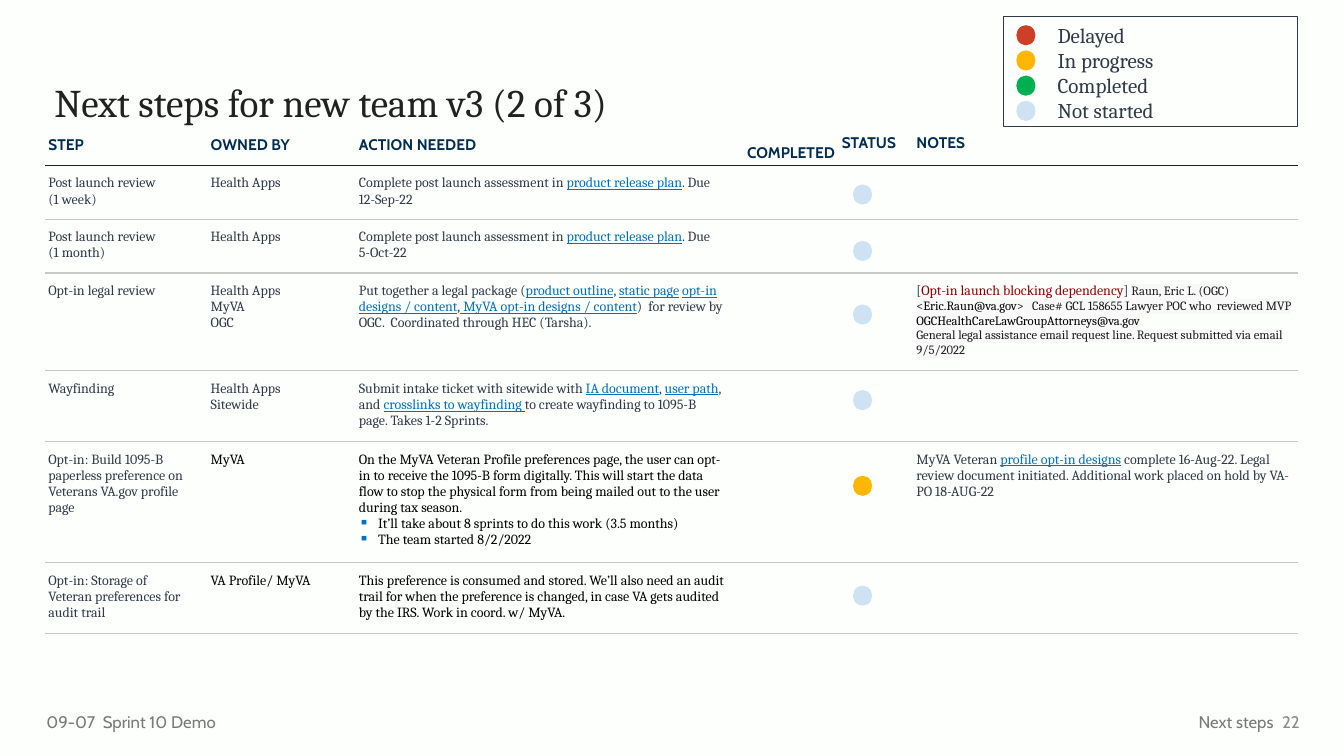
import lxml.etree
import pptx
import pptx.dml.color
import pptx.enum.shapes
import pptx.enum.text
import pptx.oxml.ns
import pptx.util

Inches = pptx.util.Inches
ANCHOR = pptx.enum.text.MSO_ANCHOR
ALIGN = pptx.enum.text.PP_ALIGN
COLORS = {
    "background": "FDFFFD", "title": "202120", "heading": "022D50", "body": "303A46",
    "black": "000000", "link": "0071C0", "bullet": "0070C0", "warning": "980000",
    "contact": "1D1C1D", "highlight": "F8F8F8", "rule": "C7C7C7",
    "footer": "747C74", "number": "8A8A8A",
    "delayed": "CC4125", "progress": "FEB600", "completed": "00B050", "waiting": "CFE2F3",
}
# Span styles: font, size, colour
STYLES = {
    "title": ("Cambria", 28, "title"),
    "heading": ("Cabin", 11, "heading"),
    "body": ("Cambria", 10, "body"),
    "black": ("Cambria", 10, "black"),
    "bullet": ("Cambria", 10, "black"),
    "link": ("Cambria", 10, "link"),
    "warning": ("Cambria", 10, "warning"),
    "contact": ("Cambria", 9, "contact"),
    "address": ("Cambria", 9, "black"),
    "legend": ("Cambria", 15, "body"),
    "footer": ("Cabin", 12, "footer"),
    "number": ("Cabin", 12, "number"),
}


def rgb(color):
    return pptx.dml.color.RGBColor.from_string(COLORS[color])


def add_xml(parent, tag, **attributes):
    return lxml.etree.SubElement(parent, pptx.oxml.ns.qn(tag), attributes)


class SlideBuilder:
    def __init__(self, deck):
        self.page = deck.slides.add_slide(deck.slide_layouts[6])
        self.page.background.fill.solid()
        self.page.background.fill.fore_color.rgb = rgb("background")

    def format_span(self, span, style):
        font, size, color = STYLES[style]
        span.font.name, span.font.size = font, pptx.util.Pt(size)
        span.font.color.rgb = rgb(color)
        span.font.bold = style == "heading"
        span.font.underline = style == "link"
        if style in ("contact", "address"):
            properties = span._r.get_or_add_rPr()
            mark = add_xml(properties, "a:highlight")
            add_xml(mark, "a:srgbClr", val=COLORS["highlight"])
            properties.find(pptx.oxml.ns.qn("a:solidFill")).addnext(mark)

    def add_bullet(self, para):
        properties = para._p.get_or_add_pPr()
        properties.set("marL", str(Inches(0.19)))
        properties.set("indent", str(Inches(-0.19)))
        add_xml(add_xml(properties, "a:buClr"), "a:srgbClr", val=COLORS["bullet"])
        add_xml(properties, "a:buChar", char="▪")

    def set_text(self, frame, paragraphs, margins, align=None, spacing=None):
        """Each paragraph is a list of (text, style) spans."""
        frame.word_wrap = True
        (frame.margin_left, frame.margin_top,
         frame.margin_right, frame.margin_bottom) = map(Inches, margins)
        text_frame = getattr(frame, "text_frame", frame)
        for index, spans in enumerate(paragraphs):
            para = text_frame.add_paragraph() if index else text_frame.paragraphs[0]
            para.alignment, para.line_spacing = align, spacing
            if spans[0][1] == "bullet":
                self.add_bullet(para)
            for text, style in spans:
                span = para.add_run()
                span.text = text
                self.format_span(span, style)

    def text(self, place, lines, style, margins=(0.1, 0.05, 0.1, 0.05),
             align=None, spacing=None, anchor=ANCHOR.TOP):
        box = self.page.shapes.add_textbox(*map(Inches, place))
        box.text_frame.vertical_anchor = anchor
        self.set_text(box.text_frame, [[(line, style)] for line in lines],
                      margins, align, spacing)

    def shape(self, kind, place, fill=None, line=None):
        shape = self.page.shapes.add_shape(kind, *map(Inches, place))
        shape.shadow.inherit = False
        if fill:
            shape.fill.solid()
            shape.fill.fore_color.rgb = rgb(fill)
        else:
            shape.fill.background()
        if line:
            shape.line.color.rgb = rgb(line)
            shape.line.width = pptx.util.Pt(0.75)
        else:
            shape.line.fill.background()

    def dot(self, left, top, color):
        self.shape(pptx.enum.shapes.MSO_SHAPE.OVAL, (left, top, 0.19, 0.2), color)

    def border(self, cell, colors):
        properties = cell._tc.get_or_add_tcPr()
        for index, side in enumerate("LRTB"):
            line = add_xml(properties, f"a:ln{side}", w=str(pptx.util.Pt(1)))
            if side in colors:
                add_xml(add_xml(line, "a:solidFill"), "a:srgbClr", val=COLORS[colors[side]])
            else:
                add_xml(line, "a:noFill")
            properties.insert(index, line)

    def table(self, place, widths, heights, headings, rows):
        left, top = place
        table = self.page.shapes.add_table(
            len(heights), len(widths), Inches(left), Inches(top),
            Inches(sum(widths)), Inches(sum(heights))).table
        table.first_row = table.horz_banding = False
        for column, width in zip(table.columns, widths):
            column.width = Inches(width)
        for row, height in zip(table.rows, heights):
            row.height = Inches(height)
        for index, heading in enumerate(headings):
            cell = table.cell(0, index)
            cell.vertical_anchor = ANCHOR.MIDDLE
            edge = 0.1 if heading == "NOTES" else 0.03
            self.set_text(cell, [[(heading, "heading")]], (edge, 0.03, 0.03, 0.03),
                          spacing=1.15 if index < 3 else None)
        last = len(widths) - 1
        for number, contents in enumerate(rows, 1):
            for index, paragraphs in contents.items():
                margins = (0.1, 0.1, 0.03, 0.1) if index == last else (0.03, 0.1, 0.2, 0.1)
                self.set_text(table.cell(number, index), paragraphs, margins)
        for number in range(len(heights)):
            above = "title" if number == 1 else "rule"
            below = "rule" if number else "title"
            for index in range(len(widths)):
                cell = table.cell(number, index)
                cell.fill.background()
                self.border(cell, {"T": above, "B": below} if number else {"B": below})


def body(*lines, style="body"):
    return [[(line, style)] for line in lines]


def review(due):
    return [[("Complete post launch assessment in ", "body"),
             ("product release plan", "link"), (f". Due {due}", "body")]]


STEP, OWNER, ACTION, NOTES = 0, 1, 2, 5
HEADINGS = ["STEP", "OWNED BY", "ACTION NEEDED", " COMPLETED", "STATUS", "NOTES"]
ROWS = [
    {STEP: body("Post launch review", "(1 week)"), OWNER: body("Health Apps"),
     ACTION: review("12-Sep-22")},
    {STEP: body("Post launch review", "(1 month)"), OWNER: body("Health Apps"),
     ACTION: review("5-Oct-22")},
    {STEP: body("Opt-in legal review"), OWNER: body("Health Apps", "MyVA", "OGC"),
     ACTION: [[("Put together a legal package (", "body"), ("product outline", "link"),
               (", ", "body"), ("static page", "link"), (" ", "body"),
               ("opt-in designs / content", "link"), (",", "body"),
               (" MyVA opt-in designs / content", "link"),
               (")  for review by OGC.  Coordinated through HEC (Tarsha).", "body")]],
     NOTES: [[("[", "body"), ("Opt-in launch blocking dependency", "warning"),
              ("] ", "body"), ("Raun, Eric L. (OGC) <", "contact"),
              ("Eric.Raun@va.gov", "address"),
              (">   Case# GCL 158655 Lawyer POC who  reviewed MVP ", "contact"),
              ("OGCHealthCareLawGroupAttorneys@va.gov", "address")],
             [("General legal assistance email request line. "
               "Request submitted via email 9/5/2022", "contact")]]},
    {STEP: body("Wayfinding"), OWNER: body("Health Apps", "Sitewide"),
     ACTION: [[("Submit intake ticket with sitewide with ", "body"), ("IA document", "link"),
               (", ", "body"), ("user path", "link"), (", and ", "body"),
               ("crosslinks to wayfinding ", "link"),
               ("to create wayfinding to 1095-B page. Takes 1-2 Sprints.", "body")]]},
    {STEP: body("Opt-in: Build 1095-B paperless preference on Veterans VA.gov profile page"),
     OWNER: body("MyVA", style="black"),
     ACTION: body("On the MyVA Veteran Profile preferences page, the user can opt-in to "
                  "receive the 1095-B form digitally. This will start the data flow to stop "
                  "the physical form from being mailed out to the user during tax season.",
                  style="black")
     + body("It’ll take about 8 sprints to do this work (3.5 months)",
            "The team started 8/2/2022", style="bullet"),
     NOTES: [[("MyVA Veteran ", "body"), ("profile opt-in designs", "link"),
              (" complete 16-Aug-22. Legal review document initiated. "
               "Additional work placed on hold by VA-PO 18-AUG-22", "body")]]},
    {STEP: body("Opt-in: Storage of Veteran preferences for audit trail"),
     OWNER: body("VA Profile/ MyVA", style="black"),
     ACTION: body("This preference is consumed and stored. We’ll also need an audit trail "
                  "for when the preference is changed, in case VA gets audited by the IRS. "
                  "Work in coord. w/ MyVA.", style="black")},
]


def main():
    deck = pptx.Presentation()
    deck.slide_width, deck.slide_height = Inches(13.33), Inches(7.5)
    slide = SlideBuilder(deck)

    # Title and table of steps
    slide.text((0.44, 0.78, 8.81, 1.45), ["Next steps for new team v3 (2 of 3)"],
               "title", spacing=0.9)
    slide.table((0.45, 1.2), [1.61, 1.47, 3.85, 0.94, 0.67, 3.88],
                [0.44, 0.52, 0.52, 0.94, 0.68, 1.17, 0.68], HEADINGS, ROWS)

    # Status of each step
    for top in (1.83, 2.39, 3.02, 3.87, 4.72, 5.81):
        slide.dot(8.46, top, "progress" if top == 4.72 else "waiting")

    # Legend
    slide.shape(pptx.enum.shapes.MSO_SHAPE.RECTANGLE, (9.95, 0.16, 2.92, 1.1), line="body")
    for index, color in enumerate(("delayed", "progress", "completed", "waiting")):
        slide.dot(10.08, 0.25 + 0.25 * index, color)
    slide.text((10.39, 0.12, 2.48, 1.21),
               ["Delayed", "In progress", "Completed", "Not started"], "legend", (0.1,) * 4)

    # Footer
    slide.text((0.46, 7.01, 2.98, 0.3), ["09-07  Sprint 10 Demo"], "footer",
               (0, 0.05, 0.1, 0.05))
    slide.text((11.09, 7.01, 1.64, 0.3), ["Next steps"], "footer", align=ALIGN.RIGHT)
    slide.text((12.55, 6.96, 0.44, 0.4), ["22"], "number", align=ALIGN.RIGHT,
               anchor=ANCHOR.MIDDLE)
    deck.save("out.pptx")


if __name__ == "__main__":
    main()
